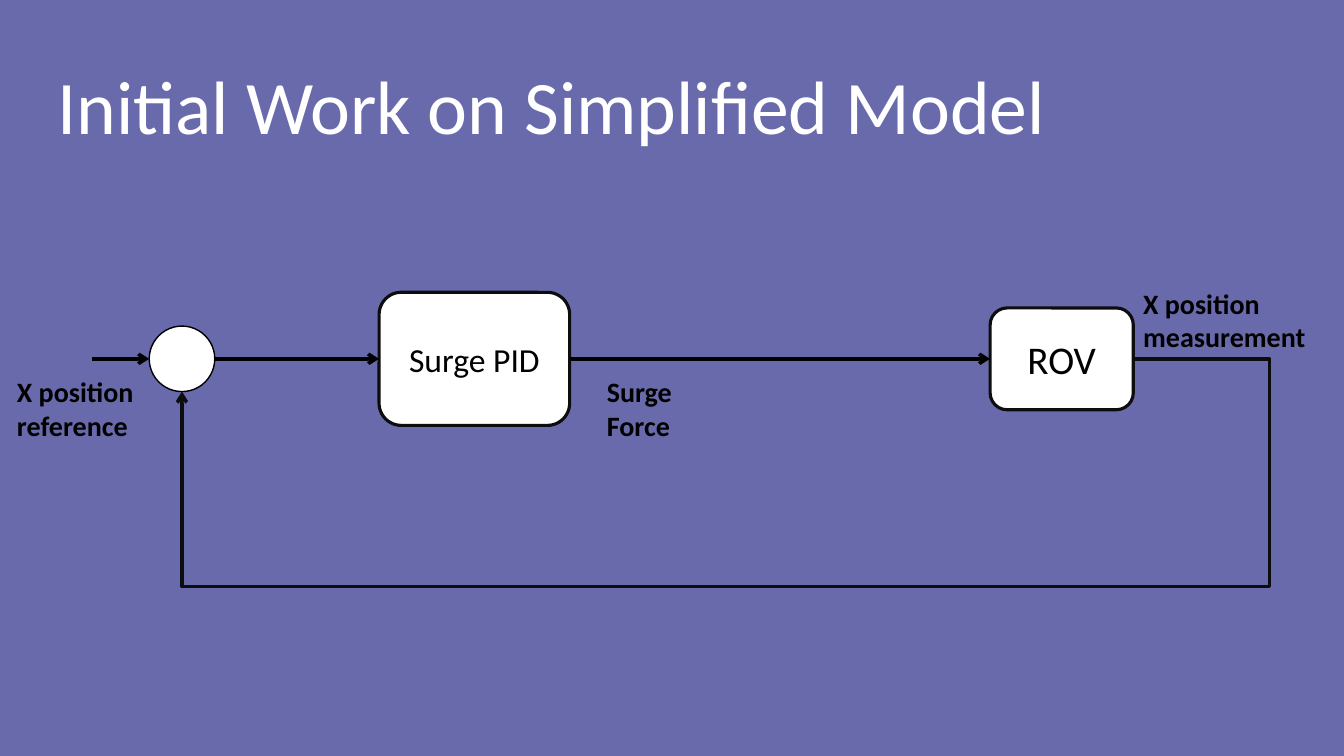
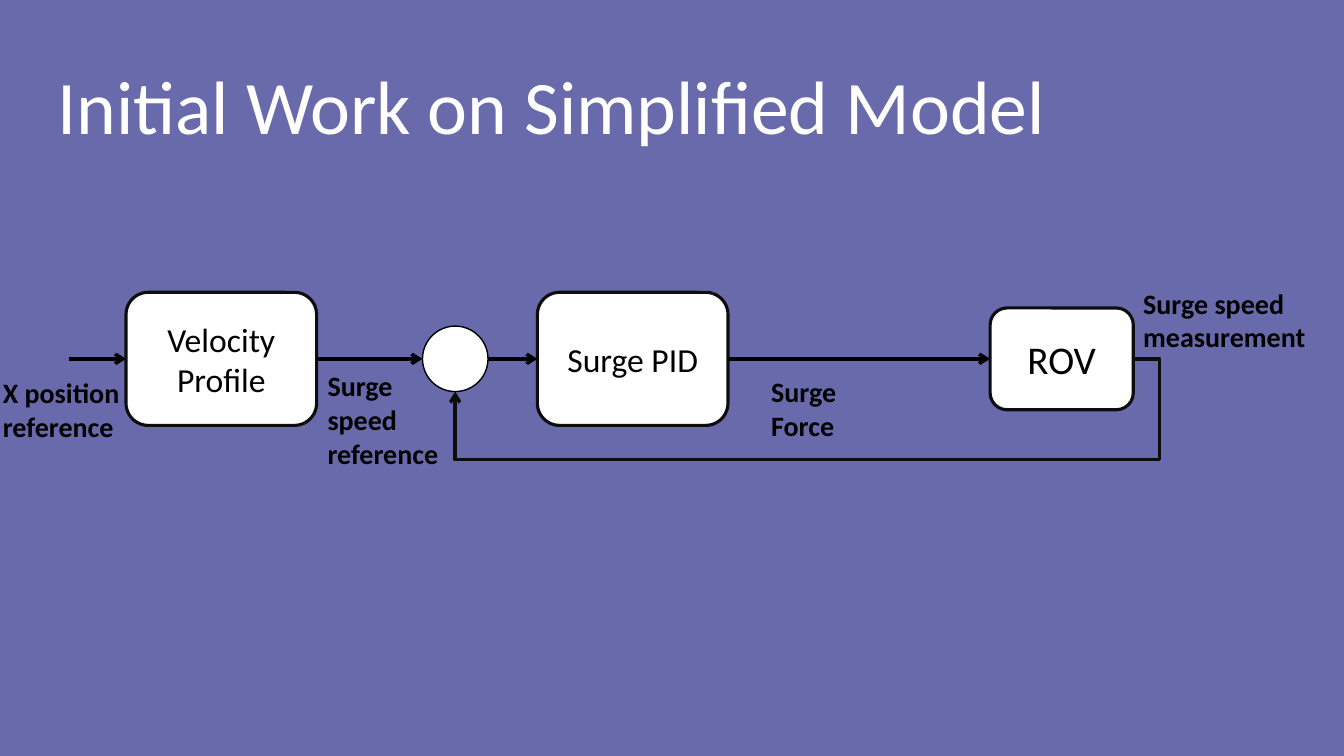
from dataclasses import dataclass
from itertools import pairwise

from pptx import Presentation
from pptx.dml.color import RGBColor
from pptx.enum.shapes import MSO_CONNECTOR, MSO_SHAPE
from pptx.enum.text import MSO_ANCHOR, MSO_AUTO_SIZE, PP_ALIGN
from pptx.oxml import parse_xml
from pptx.oxml.ns import nsdecls, qn
from pptx.shapes.autoshape import Shape
from pptx.slide import Slide
from pptx.text.text import TextFrame
from pptx.util import Inches, Pt


@dataclass(frozen=True)
class Theme:
    font: str = "Calibri"
    back: RGBColor = RGBColor(0x69, 0x6A, 0xAB)
    white: RGBColor = RGBColor(0xFF, 0xFF, 0xFF)
    black: RGBColor = RGBColor(0, 0, 0)
    edge: RGBColor = RGBColor(0x0D, 0x0D, 0x0D)
    title: int = 54
    plant: int = 28
    block: int = 24
    label: int = 20
    wire: float = 2.5
    frame: float = 2.25
    ring: float = 1


THEME = Theme()
AXIS = 3.56  # height of the signal path
STUB = 0.57  # length of the input arrow


@dataclass(frozen=True)
class Node:
    left: float
    width: float
    height: float
    text: str = ""
    size: int = THEME.block

    @property
    def right(self) -> float:
        return self.left + self.width

    @property
    def mid(self) -> float:
        return self.left + self.width / 2

    @property
    def round(self) -> bool:
        return not self.text


@dataclass(frozen=True)
class Label:
    text: str
    left: float
    top: float
    width: float
    height: float = 0.77


@dataclass(frozen=True)
class Loop:
    """A chain of nodes whose output returns to the summing circle."""
    nodes: list[Node]
    labels: list[Label]
    turn: float
    floor: float


def block(text: str, left: float) -> Node:
    return Node(left, 1.89, 1.32, text)


def circle(left: float) -> Node:
    return Node(left, 0.65, 0.65)


ROV = Node(9.82, 1.42, 1.01, "ROV", THEME.plant)

LOOPS = [
    Loop(
        [circle(1.48), block("Surge PID", 3.76), ROV],
        [Label("X position measurement", 11.24, 2.79, 1.93),
         Label("X position reference", 0.07, 3.67, 1.41),
         Label("Surge Force", 5.92, 3.67, 1.49)],
        turn=12.59, floor=5.82),
    Loop(
        [block("Velocity Profile", 1.25), circle(4.19), block("Surge PID", 5.33), ROV],
        [Label("Surge speed measurement", 11.24, 2.79, 1.93),
         Label("Surge speed reference", 3.15, 3.61, 1.41, 1.11),
         Label("Surge Force", 7.55, 3.67, 1.49),
         Label("X position reference", -0.07, 3.68, 1.41)],
        turn=11.5, floor=4.56),
]


def write(frame: TextFrame, text: str, *, size: int, color: RGBColor = THEME.black,
          bold: bool = False, align: PP_ALIGN = PP_ALIGN.LEFT,
          anchor: MSO_ANCHOR = MSO_ANCHOR.TOP) -> None:
    frame.word_wrap = True
    frame.auto_size = MSO_AUTO_SIZE.NONE
    frame.vertical_anchor = anchor
    frame.text = text
    para = frame.paragraphs[0]
    para.alignment = align
    font = para.runs[0].font
    font.name, font.size, font.bold = THEME.font, Pt(size), bold
    font.color.rgb = color


def add_title(slide: Slide) -> None:
    title = slide.shapes.title
    title.left, title.top = Inches(0.47), Inches(0.53)
    title.width, title.height = Inches(12.39), Inches(1.01)
    write(title.text_frame, "Initial Work on Simplified Model",
          size=THEME.title, color=THEME.white)


def add_label(slide: Slide, label: Label) -> None:
    box = slide.shapes.add_textbox(Inches(label.left), Inches(label.top),
                                   Inches(label.width), Inches(label.height))
    write(box.text_frame, label.text, size=THEME.label, bold=True)


def add_node(slide: Slide, node: Node) -> Shape:
    kind = MSO_SHAPE.OVAL if node.round else MSO_SHAPE.ROUNDED_RECTANGLE
    shape = slide.shapes.add_shape(kind, Inches(node.left), Inches(AXIS - node.height / 2),
                                   Inches(node.width), Inches(node.height))
    shape.shadow.inherit = False
    shape.fill.solid()
    shape.fill.fore_color.rgb = THEME.white
    shape.line.color.rgb = THEME.black if node.round else THEME.edge
    shape.line.width = Pt(THEME.ring if node.round else THEME.frame)
    if node.text:
        write(shape.text_frame, node.text, size=node.size,
              align=PP_ALIGN.CENTER, anchor=MSO_ANCHOR.MIDDLE)
    return shape


def style_wire(wire, color: RGBColor) -> None:
    """Give a connector or an open outline its line, arrowhead and no shadow."""
    wire.line.color.rgb = color
    wire.line.width = Pt(THEME.wire)
    props = wire._element.spPr
    props.find(qn("a:ln")).append(parse_xml(f'<a:tailEnd {nsdecls("a")} type="arrow"/>'))
    props.append(parse_xml(f'<a:effectLst {nsdecls("a")}/>'))


def add_arrow(slide: Slide, start: float, end: float,
              source: Shape | None = None, target: Shape | None = None) -> None:
    """Draw an arrow along the axis, joined to any boxes given."""
    wire = slide.shapes.add_connector(MSO_CONNECTOR.STRAIGHT, Inches(start), Inches(AXIS),
                                      Inches(end), Inches(AXIS))
    if source:
        wire.begin_connect(source, 3)
    if target:
        wire.end_connect(target, 1)
    style_wire(wire, THEME.black)


def add_return(slide: Slide, loop: Loop) -> None:
    """Lead the output back under the chain and up into the circle."""
    ring = next(node for node in loop.nodes if node.round)
    points = [(loop.turn, AXIS), (loop.turn, loop.floor), (ring.mid, loop.floor),
              (ring.mid, AXIS + ring.height / 2)]
    pen = slide.shapes.build_freeform(Inches(loop.nodes[-1].right), Inches(AXIS))
    pen.add_line_segments([(Inches(x), Inches(y)) for x, y in points], close=False)
    wire = pen.convert_to_shape()
    wire.fill.background()
    style_wire(wire, THEME.edge)


def add_loop(slide: Slide, loop: Loop) -> None:
    add_title(slide)
    add_return(slide, loop)
    chain = [(node, add_node(slide, node)) for node in loop.nodes]
    ports = [(node, None if node.round else shape) for node, shape in chain]
    first, port = ports[0]
    add_arrow(slide, first.left - STUB, first.left, target=port)
    for (node, source), (after, target) in pairwise(ports):
        add_arrow(slide, node.right, after.left, source, target)
    for label in loop.labels:
        add_label(slide, label)


def main() -> None:
    deck = Presentation()
    deck.slide_width, deck.slide_height = Inches(13.33), Inches(7.5)
    fill = deck.slide_master.background.fill
    fill.solid()
    fill.fore_color.rgb = THEME.back
    layout = deck.slide_layouts.get_by_name("Title Only")
    for loop in LOOPS:
        add_loop(deck.slides.add_slide(layout), loop)
    deck.save("out.pptx")


if __name__ == "__main__":
    main()
